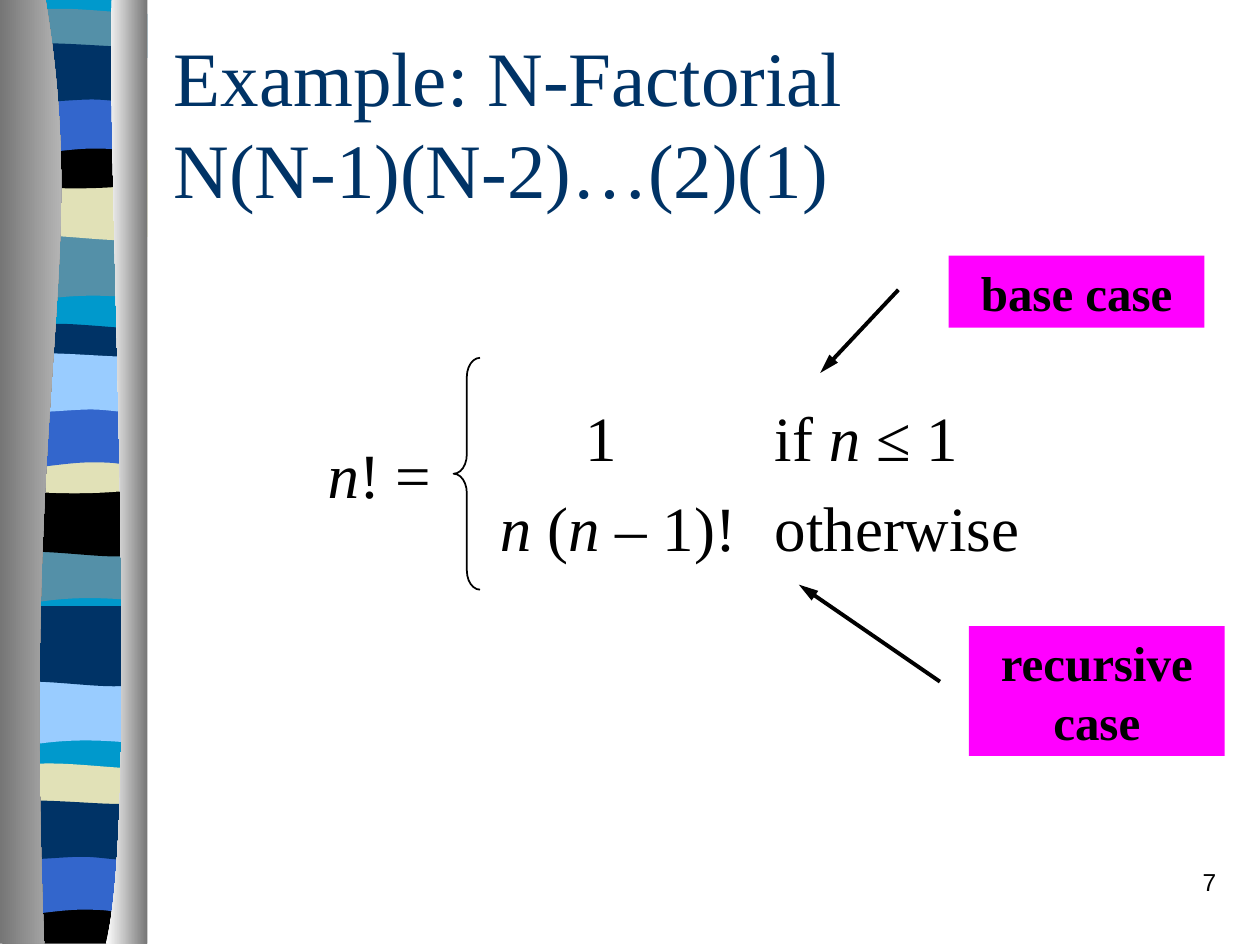
from lxml import etree
from pptx import Presentation
from pptx.dml.color import RGBColor
from pptx.enum.shapes import MSO_CONNECTOR, MSO_SHAPE
from pptx.enum.text import MSO_ANCHOR, PP_ALIGN
from pptx.oxml.ns import qn
from pptx.util import Inches, Pt

LEFT, CENTER, RIGHT = PP_ALIGN.LEFT, PP_ALIGN.CENTER, PP_ALIGN.RIGHT
TOP, MIDDLE, BOTTOM = MSO_ANCHOR.TOP, MSO_ANCHOR.MIDDLE, MSO_ANCHOR.BOTTOM
SERIF, SANS = "Times New Roman", "Arial"
COLORS = {
    "cyan": "0099CC", "teal": "5490A8", "sand": "E1E1B7", "black": "000000",
    "blue": "3366CC", "navy": "003366", "sky": "99CCFF", "magenta": "FF00FF",
    "dark": "767676", "light": "D3D3D3", "white": "FFFFFF",
}

# Outlines: a pair is a straight step, three pairs are a Bezier curve
OUTLINES = {
    "wave": [(1.09, -0.05), (1.09, 0.52), ((0.34, 0.44), (0.19, 0.6), (0, 0.52)), (0, -0.05)],
    "swell": [(1.08, -0.09), (1.08, 0.52), ((0.9, 0.6), (0.33, 0.47), (0, 0.52)), (0, -0.09)],
    "lens": [(1.08, -0.01), (1.08, 0.34), ((0.9, 0.38), (0.18, 0.38), (0, 0.34)), (0, -0.01),
             ((0.07, -0.05), (0.23, -0.05), (0.41, -0.05)),
             ((0.59, -0.05), (0.94, -0.01), (1.08, -0.01))],
    "bowl": [(1.08, -0.05), (1.08, 0.37), ((0.9, 0.43), (0.18, 0.43), (0, 0.37)), (0, -0.05),
             ((0.67, 0), (0.86, -0.05), (1.08, -0.05))],
    "arch": [(1.08, -0.05), (1.08, 0.53), ((0.91, 0.47), (0.84, 0.47), (0.66, 0.47)),
             ((0.48, 0.47), (0.16, 0.53), (0, 0.53)), (0, -0.05)],
    "ripple": [(1.08, 0), (1.08, 0.42), ((1.01, 0.47), (0.85, 0.42), (0.67, 0.42)),
               ((0.49, 0.42), (0.11, 0.47), (0, 0.42)), (0, 0),
               ((0.15, -0.06), (0.74, 0), (0.92, 0)), ((1.1, 0), (1.05, 0), (1.08, 0))],
    "base": [(1.08, 0), (1.08, 0.37), (0, 0.37), (0, 0), ((0.67, 0.05), (0.86, 0), (1.08, 0))],
    "backdrop": [(1.08, 0), (1.08, 7.48), (0, 7.48), (0, 0)],
    "left panel": [(0.36, 0), ((0.72, 2.16), (0.17, 2.96), (0.35, 7.5)), (0, 7.5), (0, 0)],
    "right panel": [(0.89, 0), ((0.84, 1.25), (1.12, 6.46), (0.84, 7.5)), (1.17, 7.5), (1.17, 0)],
}
# Outline, left, top, fill colours (two make a gradient), back to front
BANDS = [
    ("backdrop", 0.06, -0.01, ["cyan"]),
    ("wave", 0.05, 1.85, ["teal"]), ("swell", 0.09, 1.36, ["sand"]),
    ("lens", 0.09, 0.12, ["teal"]), ("bowl", 0.06, 1.08, ["black"]),
    ("arch", 0.06, 0.71, ["blue"]), ("ripple", 0.06, 0.37, ["navy"]),
    ("wave", 0.02, 4.25, ["teal"]), ("swell", 0.05, 3.87, ["black"]),
    ("lens", 0.05, 2.62, ["navy"]), ("bowl", 0.05, 3.5, ["sand"]),
    ("arch", 0.05, 3.2, ["blue"]), ("ripple", 0.05, 2.83, ["sky"]),
    ("wave", -0.01, 5.38, ["sky"]), ("swell", 0.02, 4.9, ["navy"]),
    ("lens", 0.01, 6.11, ["sand"]), ("base", 0.02, 7.12, ["black"]),
    ("arch", -0.02, 6.75, ["blue"]), ("ripple", -0.02, 6.38, ["navy"]),
    ("left panel", 0, -0.01, ["dark", "light"]),
    ("right panel", 0, -0.01, ["white", "dark"]),
]

# Paragraphs are lists of (text, italic) runs
TITLE = [[("Example: N-Factorial", False), ("\n", False), ("N(N-1)(N-2)…(2)(1)", False)]]
FACTORIAL = [[("n", True), ("! = ", False)]]
CASES = [
    [("\t1\tif ", False), ("n", True), (" ≤ 1", False)],
    [("\t", False), ("n", True), (" (", False), ("n", True), (" – 1)!\totherwise", False)],
]
CASE_TABS = [(0.8, "ctr"), (2.18, "l")]
LABELS = [("base case", (7.53, 2.03, 2.03, 0.57)), ("recursive case", (7.69, 4.97, 2.03, 1.03))]
ARROWS = [((7.46, 5.41), (6.34, 4.64)), ((7.13, 2.3), (6.51, 2.96))]


def color(name):
    return RGBColor.from_string(COLORS[name])


def inches(values):
    return [Inches(value) for value in values]


def write(shape, paragraphs, size=36, font=SERIF, ink="black", align=LEFT,
          anchor=TOP, bold=False, wrap=True):
    frame = shape.text_frame
    frame.word_wrap = wrap
    frame.vertical_anchor = anchor
    for index, runs in enumerate(paragraphs):
        paragraph = frame.add_paragraph() if index else frame.paragraphs[0]
        paragraph.alignment = align
        for text, italic in runs:
            if text == "\n":
                paragraph.add_line_break()
                continue
            run = paragraph.add_run()
            run.text = text
            run.font.name, run.font.size = font, Pt(size)
            run.font.bold, run.font.italic = bold, italic
            run.font.color.rgb = color(ink)
    return frame


def bend(shape, outline):
    """Join the three steps of each curve into one Bezier segment."""
    steps = iter(list(shape._element.iter(qn("a:lnTo"))))
    for part in outline[1:]:
        first = next(steps)
        if isinstance(part[0], tuple):
            first.tag  # the segment that the curve takes the place of
            curve = etree.Element(qn("a:cubicBezTo"))
            first.addprevious(curve)
            for step in (first, next(steps), next(steps)):
                curve.append(step[0])
                step.getparent().remove(step)


def add_band(slide, name, left, top, fills):
    outline = OUTLINES[name]
    points = []
    for part in outline:
        points.extend(part if isinstance(part[0], tuple) else [part])
    points = [(Inches(left + x), Inches(top + y)) for x, y in points]
    builder = slide.shapes.build_freeform(*points[0])
    builder.add_line_segments(points[1:], close=True)
    band = builder.convert_to_shape()
    bend(band, outline)
    band.shadow.inherit = False
    band.line.fill.background()
    if len(fills) == 1:
        band.fill.solid()
        band.fill.fore_color.rgb = color(fills[0])
    else:
        band.fill.gradient()
        band.fill.gradient_angle = 0
        for stop, fill in zip(band.fill.gradient_stops, fills):
            stop.color.rgb = color(fill)


def add_arrow(slide, start, end):
    arrow = slide.shapes.add_connector(MSO_CONNECTOR.STRAIGHT, *inches(start + end))
    arrow.line.color.rgb = color("black")
    arrow.line.width = Pt(2.25)
    etree.SubElement(arrow.line._get_or_add_ln(), qn("a:tailEnd"), type="triangle", len="lg")
    etree.SubElement(arrow._element.spPr, qn("a:effectLst"))


def main():
    presentation = Presentation()
    presentation.slide_width, presentation.slide_height = Inches(10), Inches(7.5)
    slide = presentation.slides.add_slide(presentation.slide_layouts[6])
    shapes = slide.shapes

    # Striped curtain
    for band in BANDS:
        add_band(slide, *band)

    # Page number and title
    write(shapes.add_textbox(*inches((7.67, 6.83, 2.08, 0.5))), [[("7", False)]],
          size=14, font=SANS, align=RIGHT)
    write(shapes.add_textbox(*inches((1.28, 0, 8.5, 1.75))), TITLE,
          size=44, ink="navy", anchor=BOTTOM)

    # Definition by cases
    write(shapes.add_textbox(*inches((2.5, 3.41, 1.15, 0.7))), FACTORIAL,
          align=CENTER, wrap=False)
    cases = write(shapes.add_textbox(*inches((3.87, 3.11, 4.77, 1.42))), CASES)
    cases.paragraphs[1].line_spacing = 1.2
    for paragraph in cases.paragraphs:
        tabs = etree.SubElement(paragraph._p.get_or_add_pPr(), qn("a:tabLst"))
        for position, kind in CASE_TABS:
            etree.SubElement(tabs, qn("a:tab"), pos=str(Inches(position)), algn=kind)
    brace = shapes.add_shape(MSO_SHAPE.LEFT_BRACE, *inches((3.6, 2.84, 0.21, 1.84)))
    brace.adjustments[0] = 0.725
    brace.shadow.inherit = False
    brace.fill.background()
    brace.line.color.rgb = color("black")
    brace.line.width = Pt(1)

    # Case labels and arrows
    for text, place in LABELS:
        label = shapes.add_shape(MSO_SHAPE.RECTANGLE, *inches(place))
        label.shadow.inherit = False
        label.fill.solid()
        label.fill.fore_color.rgb = color("magenta")
        label.line.fill.background()
        write(label, [[(text, False)]], size=28, align=CENTER, anchor=MIDDLE, bold=True)
    for start, end in ARROWS:
        add_arrow(slide, start, end)

    presentation.save("out.pptx")


if __name__ == "__main__":
    main()
